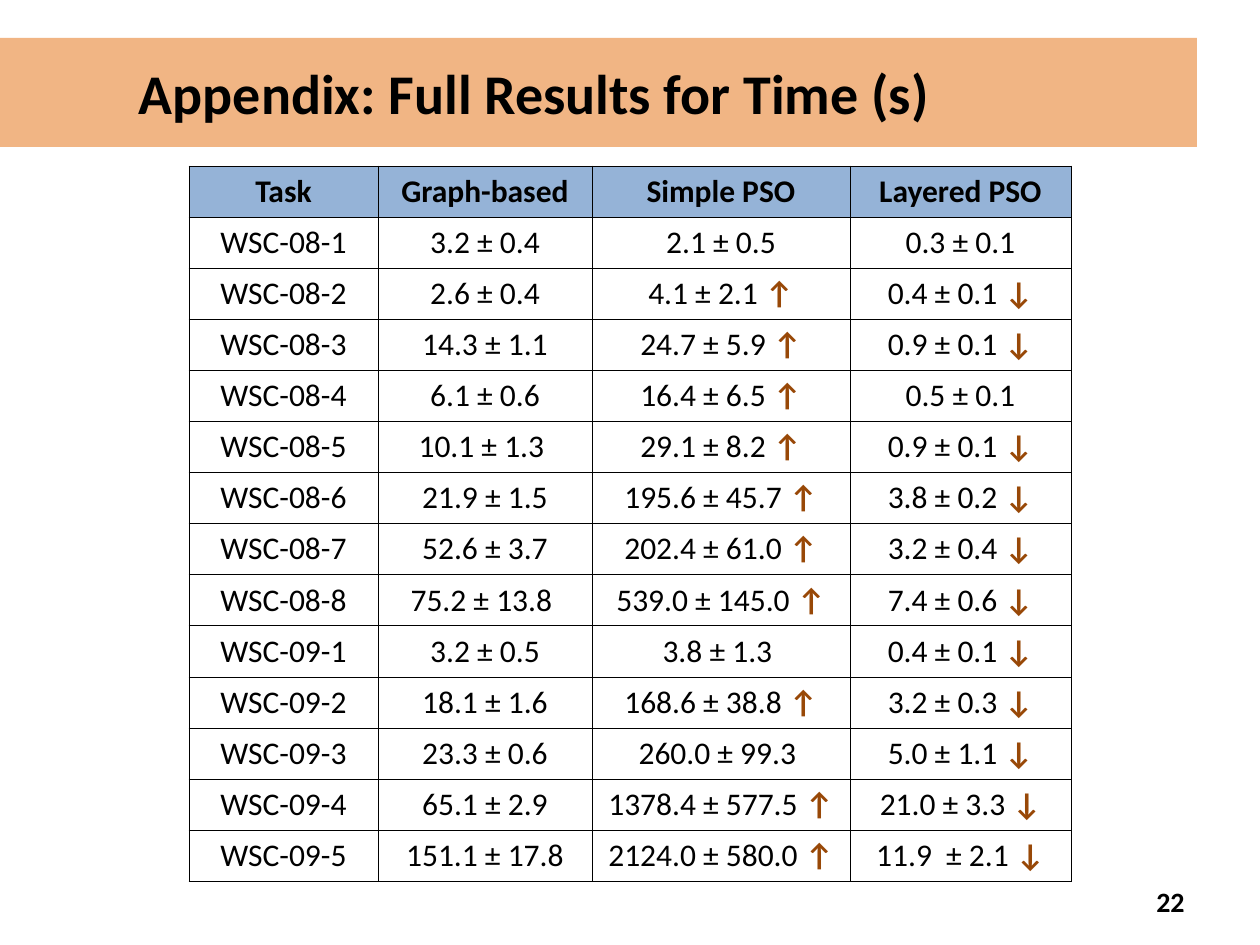
import pptx
import pptx.dml.color
import pptx.enum.shapes
import pptx.enum.text
import pptx.oxml
import pptx.oxml.ns
import pptx.util

TITLE = "Appendix: Full Results for Time (s)"
PAGE = "22"
HEADER = ("Task", "Graph-based", "Simple PSO", "Layered PSO")
RESULTS = [
    ("WSC-08-1", "3.2 ± 0.4", "2.1 ± 0.5", "0.3 ± 0.1"),
    ("WSC-08-2", "2.6 ± 0.4", "4.1 ± 2.1 ↑", "0.4 ± 0.1 ↓"),
    ("WSC-08-3", "14.3 ± 1.1", "24.7 ± 5.9 ↑", "0.9 ± 0.1 ↓"),
    ("WSC-08-4", "6.1 ± 0.6", "16.4 ± 6.5 ↑", "0.5 ± 0.1"),
    ("WSC-08-5", "10.1 ± 1.3 ", "29.1 ± 8.2 ↑", "0.9 ± 0.1 ↓"),
    ("WSC-08-6", "21.9 ± 1.5", "195.6 ± 45.7 ↑", "3.8 ± 0.2 ↓"),
    ("WSC-08-7", "52.6 ± 3.7", "202.4 ± 61.0 ↑", "3.2 ± 0.4 ↓"),
    ("WSC-08-8", "75.2 ± 13.8 ", "539.0 ± 145.0 ↑", "7.4 ± 0.6 ↓"),
    ("WSC-09-1", "3.2 ± 0.5", "3.8 ± 1.3 ", "0.4 ± 0.1 ↓"),
    ("WSC-09-2", "18.1 ± 1.6", "168.6 ± 38.8 ↑", "3.2 ± 0.3 ↓"),
    ("WSC-09-3", "23.3 ± 0.6", "260.0 ± 99.3 ", "5.0 ± 1.1 ↓"),
    ("WSC-09-4", "65.1 ± 2.9", "1378.4 ± 577.5 ↑", "21.0 ± 3.3 ↓"),
    ("WSC-09-5", "151.1 ± 17.8", "2124.0 ± 580.0 ↑", "11.9  ± 2.1 ↓"),
]
COLUMNS = (189, 214, 258, 221)
ARROWS = "↑↓"
BLACK, WHITE, BROWN, BLUE, ORANGE = "000000", "FFFFFF", "984807", "95B3D7", "E46C0A"
ALIGN = pptx.enum.text.PP_ALIGN
MIDDLE = pptx.enum.text.MSO_ANCHOR.MIDDLE


def px(n):
    return pptx.util.Emu(round(n * 914400 / 126))


def rgb(value):
    return pptx.dml.color.RGBColor.from_string(value)


def add_run(p, text, size, color=BLACK, bold=False):
    r = p.add_run()
    r.text = text
    for name, value in {"name": "Calibri", "size": pptx.util.Pt(size), "bold": bold}.items():
        setattr(r.font, name, value)
    r.font.color.rgb = rgb(color)


def write_line(s, text, size, align, left=13):
    tf = s.text_frame
    for name, value in {"word_wrap": True, "vertical_anchor": MIDDLE, "margin_left": px(left)}.items():
        setattr(tf, name, value)
    p = tf.paragraphs[0]
    p.alignment = align
    add_run(p, text, size, bold=True)


def add_borders(cell):
    tc_pr = cell._tc.get_or_add_tcPr()
    for i, side in enumerate(("lnL", "lnR", "lnT", "lnB")):
        tc_pr.insert(i, pptx.oxml.parse_xml(
            f'<a:{side} {pptx.oxml.ns.nsdecls("a")} w="{pptx.util.Pt(0.45)}"><a:solidFill>'
            f'<a:srgbClr val="{BLACK}"/></a:solidFill></a:{side}>'))


def fill_cell(cell, text, is_header):
    cell.fill.solid()
    cell.fill.fore_color.rgb = rgb(BLUE if is_header else WHITE)
    add_borders(cell)
    p = cell.text_frame.paragraphs[0]
    p.alignment = ALIGN.CENTER
    value = text.rstrip(ARROWS)
    add_run(p, value, 18, bold=is_header)
    if value != text:
        add_run(p, text[len(value):], 18, BROWN, True)


def main():
    prs = pptx.Presentation()
    prs.slide_width, prs.slide_height = px(1260), px(945)
    slide = prs.slides.add_slide(prs.slide_layouts[6])

    banner = slide.shapes.add_shape(
        pptx.enum.shapes.MSO_SHAPE.RECTANGLE, px(0), px(38), px(1197), px(109))
    banner.shadow.inherit = False
    banner.line.fill.background()
    banner.fill.solid()
    banner.fill.fore_color.rgb = rgb(ORANGE)
    color = banner.fill._xPr.find(".//" + pptx.oxml.ns.qn("a:srgbClr"))
    color.append(pptx.oxml.parse_xml(f'<a:alpha {pptx.oxml.ns.nsdecls("a")} val="50000"/>'))
    write_line(banner, TITLE, 32, ALIGN.LEFT, 139)

    number = slide.shapes.add_textbox(px(903), px(876), px(294), px(50))
    write_line(number, PAGE, 16, ALIGN.RIGHT)

    rows = [HEADER, *RESULTS]
    table = slide.shapes.add_table(
        len(rows), len(COLUMNS), px(189), px(166), px(sum(COLUMNS)), px(716)).table
    for column, width in zip(table.columns, COLUMNS):
        column.width = px(width)
    for i, row in enumerate(rows):
        for j, text in enumerate(row):
            fill_cell(table.cell(i, j), text, i == 0)

    prs.save("out.pptx")


if __name__ == "__main__":
    main()
